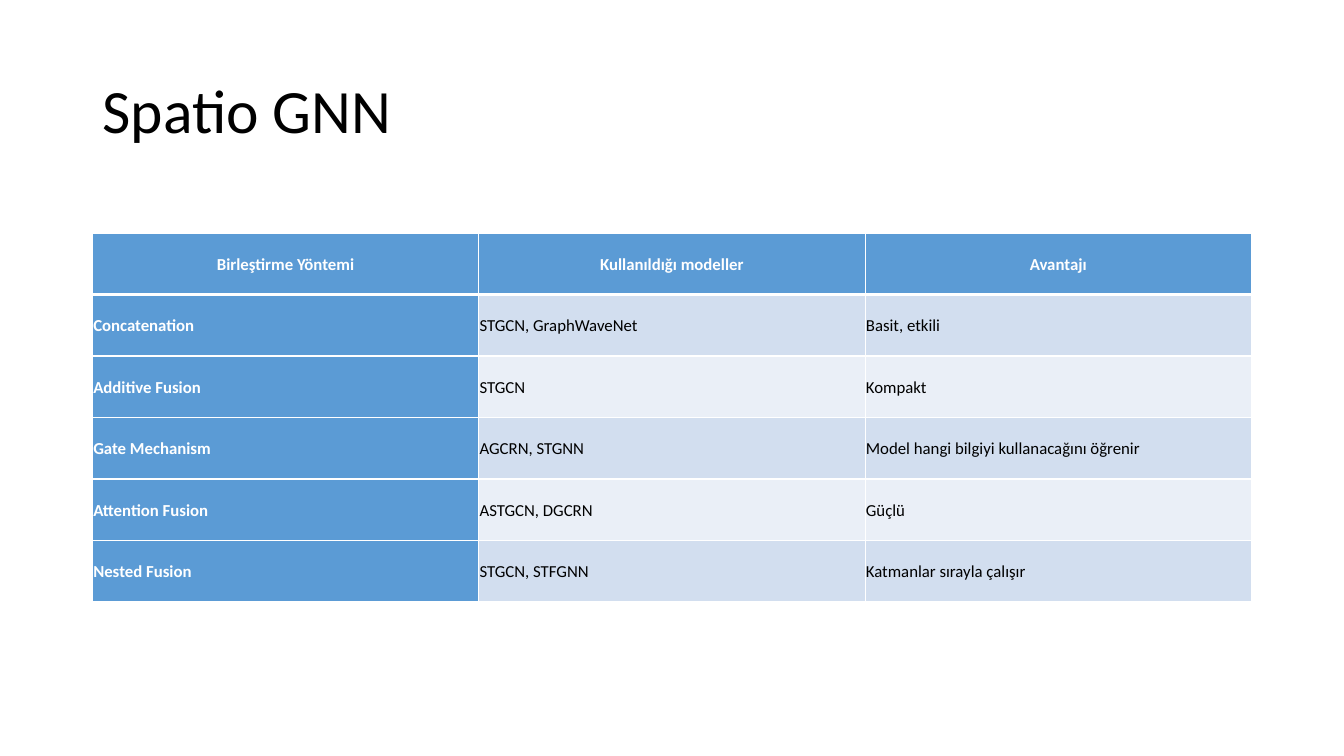
"""Build a slide with a table comparing fusion methods of spatio-temporal GNNs."""
from dataclasses import dataclass

from lxml import etree
from pptx import Presentation
from pptx.dml.color import RGBColor
from pptx.enum.text import MSO_ANCHOR, MSO_AUTO_SIZE, PP_ALIGN
from pptx.oxml.ns import qn
from pptx.slide import Slide
from pptx.table import _Cell
from pptx.text.text import _Paragraph
from pptx.util import Cm, Pt

MIDDLE = MSO_ANCHOR.MIDDLE
NO_AUTOFIT = MSO_AUTO_SIZE.NONE
LEFT, CENTER = PP_ALIGN.LEFT, PP_ALIGN.CENTER

COLORS = {
    "text": "000000",
    "white": "FFFFFF",
    "accent": "5B9BD5",
    "band_dark": "D2DEEF",
    "band_light": "EAEFF7",
}
FONT = "Calibri"
TITLE_ONLY_LAYOUT = 5
MARGIN_X, CONTENT_WIDTH = Cm(2.33), Cm(29.21)
TITLE_BOX = {"left": MARGIN_X, "top": Cm(1.01), "width": CONTENT_WIDTH, "height": Cm(3.68)}
TITLE_FRAME = {"vertical_anchor": MIDDLE, "word_wrap": True, "auto_size": NO_AUTOFIT}
TABLE_TOP, ROW_HEIGHT = Cm(5.87), Cm(1.55)
CELL_INSET = Cm(0.02)
CELL_FORMAT = {
    "vertical_anchor": MIDDLE,
    "margin_left": CELL_INSET,
    "margin_right": CELL_INSET,
    "margin_top": CELL_INSET,
    "margin_bottom": CELL_INSET,
}
THIN, THICK = Pt(1), Pt(3)


@dataclass(frozen=True)
class FusionMethod:
    """One table row: a fusion method, the models using it and its advantage."""

    method: str
    models: str
    advantage: str


HEADINGS = FusionMethod("Birleştirme Yöntemi", "Kullanıldığı modeller", "Avantajı")
FUSION_METHODS = [
    FusionMethod("Concatenation", "STGCN, GraphWaveNet", "Basit, etkili"),
    FusionMethod("Additive Fusion", "STGCN", "Kompakt"),
    FusionMethod("Gate Mechanism", "AGCRN, STGNN", "Model hangi bilgiyi kullanacağını öğrenir"),
    FusionMethod("Attention Fusion", "ASTGCN, DGCRN", "Güçlü"),
    FusionMethod("Nested Fusion", "STGCN, STFGNN", "Katmanlar sırayla çalışır"),
]


def apply_format(target: object, values: dict) -> None:
    """Set every named attribute on the target."""
    for attribute, value in values.items():
        setattr(target, attribute, value)


def write_text(paragraph: _Paragraph, text: str, size: int, color: str, bold: bool,
               align: PP_ALIGN, spacing: float) -> None:
    """Write one formatted run into a paragraph."""
    apply_format(paragraph, {"alignment": align, "line_spacing": spacing})
    run = paragraph.add_run()
    run.text = text
    apply_format(run.font, {"name": FONT, "size": Pt(size), "bold": bold})
    run.font.color.rgb = RGBColor.from_string(COLORS[color])


def add_borders(cell: _Cell, top: int, bottom: int) -> None:
    """Give a cell white borders on all four sides."""
    properties = cell._tc.get_or_add_tcPr()
    for side, width in {"lnL": THIN, "lnR": THIN, "lnT": top, "lnB": bottom}.items():
        border = etree.SubElement(properties, qn(f"a:{side}"), w=str(width))
        fill = etree.SubElement(border, qn("a:solidFill"))
        etree.SubElement(fill, qn("a:srgbClr"), val=COLORS["white"])


def draw_cell(cell: _Cell, text: str, row: int, column: int) -> None:
    """Fill and format a cell according to its place in the table."""
    is_header = row == 0
    is_accent = is_header or column == 0
    band = "band_dark" if row % 2 else "band_light"
    apply_format(cell, CELL_FORMAT)
    add_borders(cell, THICK if row == 1 else THIN, THICK if is_header else THIN)
    cell.fill.solid()
    cell.fill.fore_color.rgb = RGBColor.from_string(COLORS["accent" if is_accent else band])
    write_text(cell.text_frame.paragraphs[0], text, 12, "white" if is_accent else "text",
               is_accent, CENTER if is_header else LEFT, 1.07)


def draw_title(slide: Slide, text: str) -> None:
    """Place and format the slide title."""
    title = slide.shapes.title
    apply_format(title, TITLE_BOX)
    apply_format(title.text_frame, TITLE_FRAME)
    write_text(title.text_frame.paragraphs[0], text, 44, "text", False, LEFT, 0.9)


def draw_fusion_table(slide: Slide, entries: list[FusionMethod]) -> None:
    """Draw the table, one row for each entry."""
    fusion_table = slide.shapes.add_table(
        len(entries), 3, MARGIN_X, TABLE_TOP, CONTENT_WIDTH, ROW_HEIGHT * len(entries)
    ).table
    fusion_table.first_col = True
    for row, entry in enumerate(entries):
        for column, text in enumerate((entry.method, entry.models, entry.advantage)):
            draw_cell(fusion_table.cell(row, column), text, row, column)


def main() -> None:
    """Build and save the presentation."""
    presentation = Presentation()
    apply_format(presentation, {"slide_width": Cm(33.87), "slide_height": Cm(19.05)})
    slide = presentation.slides.add_slide(presentation.slide_layouts[TITLE_ONLY_LAYOUT])
    draw_title(slide, "Spatio GNN")
    draw_fusion_table(slide, [HEADINGS, *FUSION_METHODS])
    presentation.save("out.pptx")


if __name__ == "__main__":
    main()
